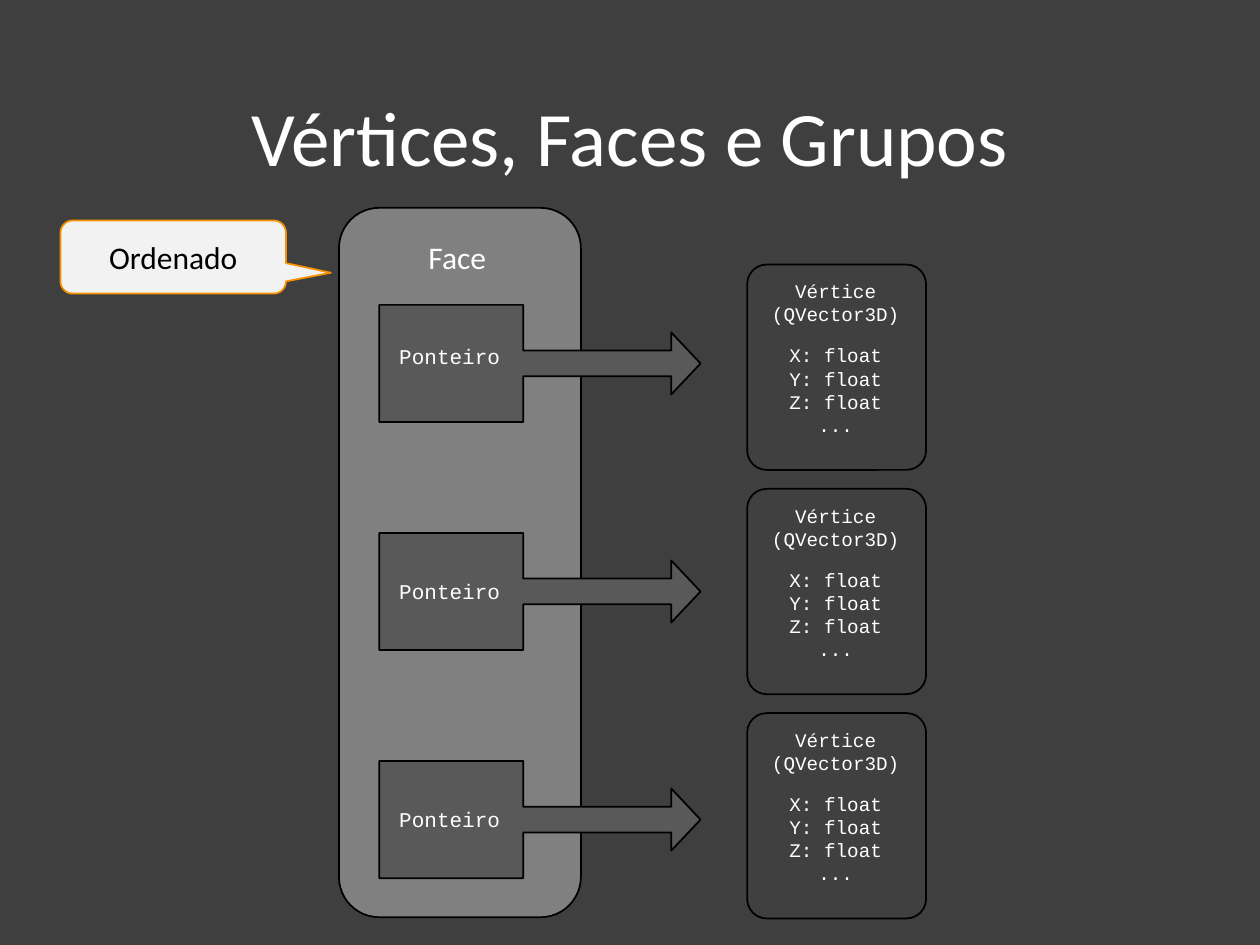
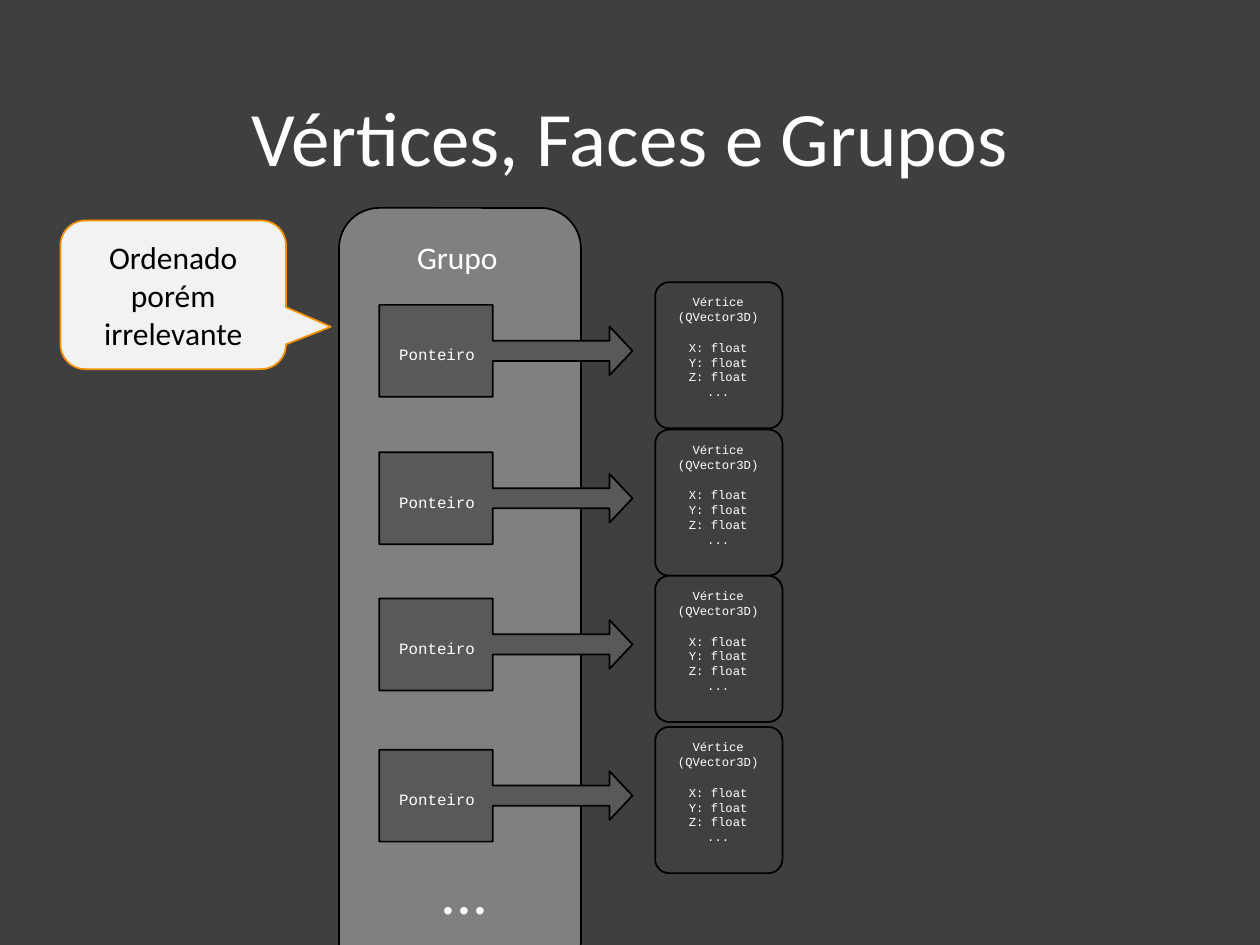
from pptx import Presentation
from pptx import util as u
from pptx.dml import color
from pptx.enum import shapes, text

# Shared look
HUES = {"back": "3F3F3F", "pillar": "808080", "card": "404040", "arrow": "595959",
        "note": "F2F2F2", "edge": "F69200", "black": "000000", "white": "FFFFFF"}
SANS, MONO = "Calibri", "Courier New"
KIND, ALIGN, ANCHOR = shapes.MSO_SHAPE, text.PP_ALIGN, text.MSO_ANCHOR

# Grid: 100 columns by 75 rows on the slide
WIDE, HIGH = u.Inches(10), u.Inches(7.5)
COL, ROW = WIDE / 100, HIGH / 75


def hue(name):
    return color.RGBColor.from_string(HUES[name])


def emu(box):
    """Turn a box in columns and rows into slide lengths."""
    x, y, w, h = box
    return [round(v) for v in (x * COL, y * ROW, w * COL, h * ROW)]


def part(box, x, y, w, h):
    """Return the box at the given shares of another box."""
    left, top, wide, high = box
    return left + x * wide, top + y * high, w * wide, h * high


def fill_text(frame, lines, size, font, ink="white", align=ALIGN.CENTER, anchor=ANCHOR.TOP):
    frame.word_wrap = True
    frame.vertical_anchor = anchor
    for i, line in enumerate(lines):
        para = frame.paragraphs[0] if i == 0 else frame.add_paragraph()
        para.alignment = align
        run = para.add_run()
        run.text = line
        run.font.size, run.font.name = u.Pt(size), font
        run.font.color.rgb = hue(ink)


def add_text(host, box, lines, size, font, **style):
    frame = host.add_textbox(*emu(box)).text_frame
    fill_text(frame, lines, size, font, **style)
    return frame


def add_form(host, kind, box, fill, line="black", adjust=()):
    form = host.add_shape(kind, *emu(box))
    form.shadow.inherit = False
    form.fill.solid()
    form.fill.fore_color.rgb = hue(fill)
    form.line.color.rgb = hue(line)
    form.line.width = u.Pt(1)
    for i, value in enumerate(adjust):
        form.adjustments[i] = value
    return form


def add_title(host, box):
    frame = add_text(host, box, ["Vértices, Faces e Grupos"], 44, SANS, anchor=ANCHOR.MIDDLE)
    frame.paragraphs[0].line_spacing = 0.9


def add_pillar(host, box, name):
    add_form(host, KIND.ROUNDED_RECTANGLE, box, "pillar")
    x, y = box[:2]
    add_text(host, (x + 2.1, y + 1.9, 14.6, 4), [name], 18, SANS)


def add_note(host, box, words):
    note = add_form(host, KIND.ROUNDED_RECTANGULAR_CALLOUT, box, "note", "edge",
                    (0.699, 0.215, 0.167))
    fill_text(note.text_frame, [words], 18, SANS, ink="black", anchor=ANCHOR.MIDDLE)


def add_card(host, box, size):
    group = host.add_group_shape().shapes
    add_form(group, KIND.ROUNDED_RECTANGLE, box, "card", adjust=(0.109,))
    add_text(group, part(box, 0.045, 0.043, 0.9, 0.29), ["Vértice (QVector3D)"], size, MONO)
    add_text(group, part(box, 0.045, 0.355, 0.9, 0.51),
             ["X: float", "Y: float", "Z: float", "..."], size, MONO)


def add_arrow(host, box, drop, size):
    """Pointer box with its arrow; drop is the label's offset in rows."""
    add_form(host, KIND.RIGHT_ARROW_CALLOUT, box, "arrow", adjust=(0.22, 0.265, 0.25, 0.448))
    x, y, w, h = box
    frame = add_text(host, (x + 0.6, y + drop, 0.4 * w, 0.33 * h), ["Ponteiro"],
                     size, MONO, align=ALIGN.LEFT)
    frame.margin_right = 0


def add_page(deck, name, tall, note, high):
    """Start a slide with the parts both share."""
    page = deck.slides.add_slide(deck.slide_layouts[6])
    page.background.fill.solid()
    page.background.fill.fore_color.rgb = hue("back")
    host = page.shapes
    add_pillar(host, (26.9, 16.5, 19.2, tall), name)
    add_title(host, (6.9, 4, 86.2, 14.5))
    add_note(host, (4.8, 17.5, 17.9, high), note)
    return host


def face_page(deck):
    host = add_page(deck, "Face", 56.3, "Ordenado", 5.8)
    for i, drop in enumerate((2.6, 3.1, 3.1)):
        add_card(host, (59.3, 21 + 17.8 * i, 14.2, 16.3), 11)
        add_arrow(host, (30.1, 24.2 + 18.1 * i, 25.5, 9.3), drop, 12)


def group_page(deck):
    host = add_page(deck, "Grupo", 61.5, "Ordenado porém irrelevante", 11.8)
    for top in (22.4, 34.1, 45.7, 57.7):
        add_card(host, (52, top, 10.1, 11.6), 7)
        add_arrow(host, (30.1, top + 1.8, 20.1, 7.3), 2.7, 9)
    # More pointers follow
    add_text(host, (30.1, 67.1, 13.5, 7.1), ["..."], 36, SANS)


def main():
    deck = Presentation()
    deck.slide_width, deck.slide_height = WIDE, HIGH
    face_page(deck)
    group_page(deck)
    deck.save("out.pptx")


if __name__ == "__main__":
    main()
